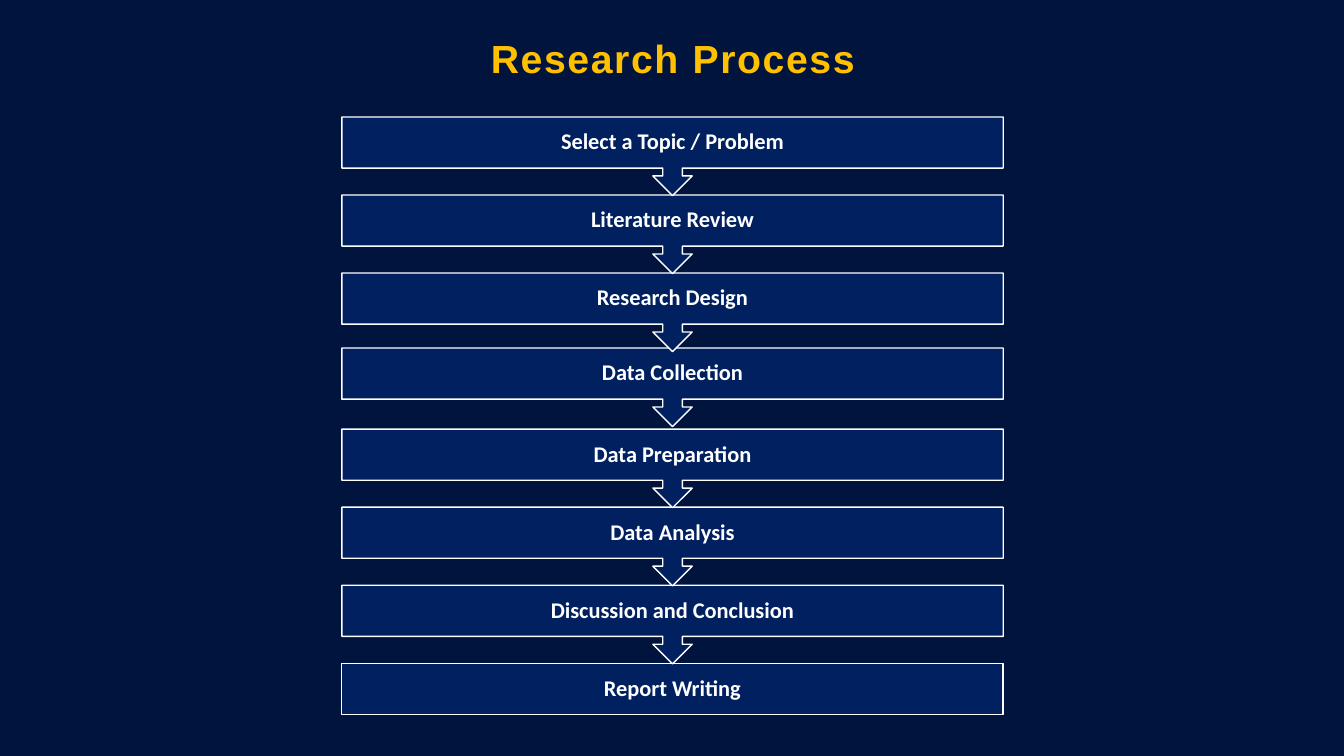
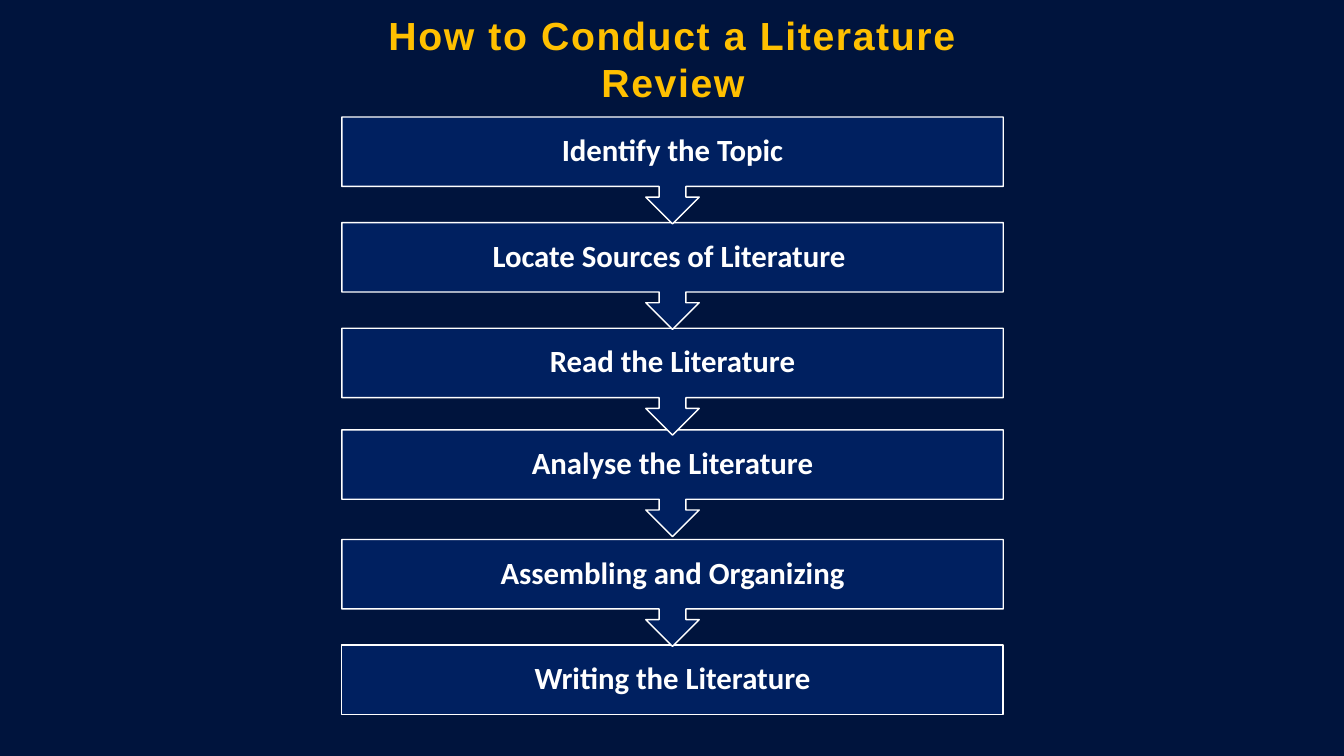
"""Build two slides that show research steps as downward flow charts."""
from pptx import Presentation
from pptx.dml.color import RGBColor
from pptx.enum.shapes import MSO_SHAPE
from pptx.enum.text import MSO_ANCHOR, MSO_AUTO_SIZE, PP_ALIGN
from pptx.util import Inches, Pt

CALLOUT = MSO_SHAPE.UP_ARROW_CALLOUT
RECTANGLE = MSO_SHAPE.RECTANGLE
MIDDLE = MSO_ANCHOR.MIDDLE
CENTER = PP_ALIGN.CENTER
FIT_SHAPE = MSO_AUTO_SIZE.SHAPE_TO_FIT_TEXT
TITLE_ONLY = 5

COLORS = {
    "background": "00143D",
    "step": "002060",
    "line": "FFFFFF",
    "text": "FFFFFF",
    "title": "FFC000",
}
STEP_LEFT, STEP_WIDTH, FIRST_TOP = 3.39, 6.56, 1.16
TITLE_LEFT, TITLE_WIDTH = 3.74, 5.85
SHIFTED_STEP = 3

FLOWS = [
    {
        "title": "Research Process",
        "title_top": 0.32, "title_height": 0.49,
        "last_top": 6.58, "box_height": 0.51, "callout_height": 0.78,
        "shift": -0.03, "size": 16, "inset": 0.12,
        "steps": [
            "Select a Topic / Problem", "Literature Review",
            "Research Design", "Data Collection", "Data Preparation",
            "Data Analysis", "Discussion and Conclusion", "Report Writing",
        ],
    },
    {
        "title": "How to Conduct a Literature Review",
        "title_top": 0.09, "title_height": 0.96,
        "last_top": 6.4, "box_height": 0.69, "callout_height": 1.06,
        "shift": -0.04, "size": 22, "inset": 0.17,
        "steps": [
            "Identify the Topic", "Locate Sources of Literature ",
            "Read the Literature", "Analyse the Literature",
            "Assembling and Organizing", "Writing the Literature",
        ],
    },
]


def write_text(shape, text, *, font, size, color, insets,
               line_spacing=1.0, space_before=0, letter_spacing=0):
    frame = shape.text_frame
    frame.word_wrap = True
    frame.vertical_anchor = MIDDLE
    (frame.margin_left, frame.margin_top,
     frame.margin_right, frame.margin_bottom) = map(Inches, insets)
    paragraph = frame.paragraphs[0]
    paragraph.alignment = CENTER
    paragraph.line_spacing = line_spacing
    paragraph.space_before = Pt(space_before)
    run = paragraph.add_run()
    run.text = text
    run.font.name = font
    run.font.size = Pt(size)
    run.font.bold = True
    run.font.color.rgb = RGBColor.from_string(COLORS[color])
    run.font._element.set("spc", str(round(letter_spacing * 100)))


presentation = Presentation()
presentation.slide_width = Inches(13.33)
presentation.slide_height = Inches(7.5)
background = presentation.slide_master.background.fill
background.solid()
background.fore_color.rgb = RGBColor.from_string(COLORS["background"])

for flow in FLOWS:
    slide = presentation.slides.add_slide(presentation.slide_layouts[TITLE_ONLY])
    title = slide.shapes.title
    title.left, title.top = Inches(TITLE_LEFT), Inches(flow["title_top"])
    title.width, title.height = Inches(TITLE_WIDTH), Inches(flow["title_height"])
    title.text_frame.auto_size = FIT_SHAPE
    write_text(title, flow["title"], font="Arial", size=28, color="title",
               insets=(0.02, 0.02, 0, 0), space_before=1.3, letter_spacing=1.2)

    steps = flow["steps"]
    last = len(steps) - 1
    pitch = (flow["last_top"] - FIRST_TOP) / last
    for index in range(last, -1, -1):
        top = FIRST_TOP + index * pitch
        if index == SHIFTED_STEP:
            top += flow["shift"]
        is_last = index == last
        height = flow["box_height"] if is_last else flow["callout_height"]
        step = slide.shapes.add_shape(
            RECTANGLE if is_last else CALLOUT, Inches(STEP_LEFT),
            Inches(top), Inches(STEP_WIDTH), Inches(height))
        step.rotation = 0 if is_last else 180
        step.shadow.inherit = False
        step.fill.solid()
        step.fill.fore_color.rgb = RGBColor.from_string(COLORS["step"])
        step.line.color.rgb = RGBColor.from_string(COLORS["line"])
        step.line.width = Pt(1)

        label = slide.shapes.add_textbox(
            Inches(STEP_LEFT), Inches(top),
            Inches(STEP_WIDTH), Inches(flow["box_height"]))
        write_text(label, steps[index], font="Calibri", size=flow["size"],
                   color="text", insets=[flow["inset"]] * 4, line_spacing=0.9)

presentation.save("out.pptx")
